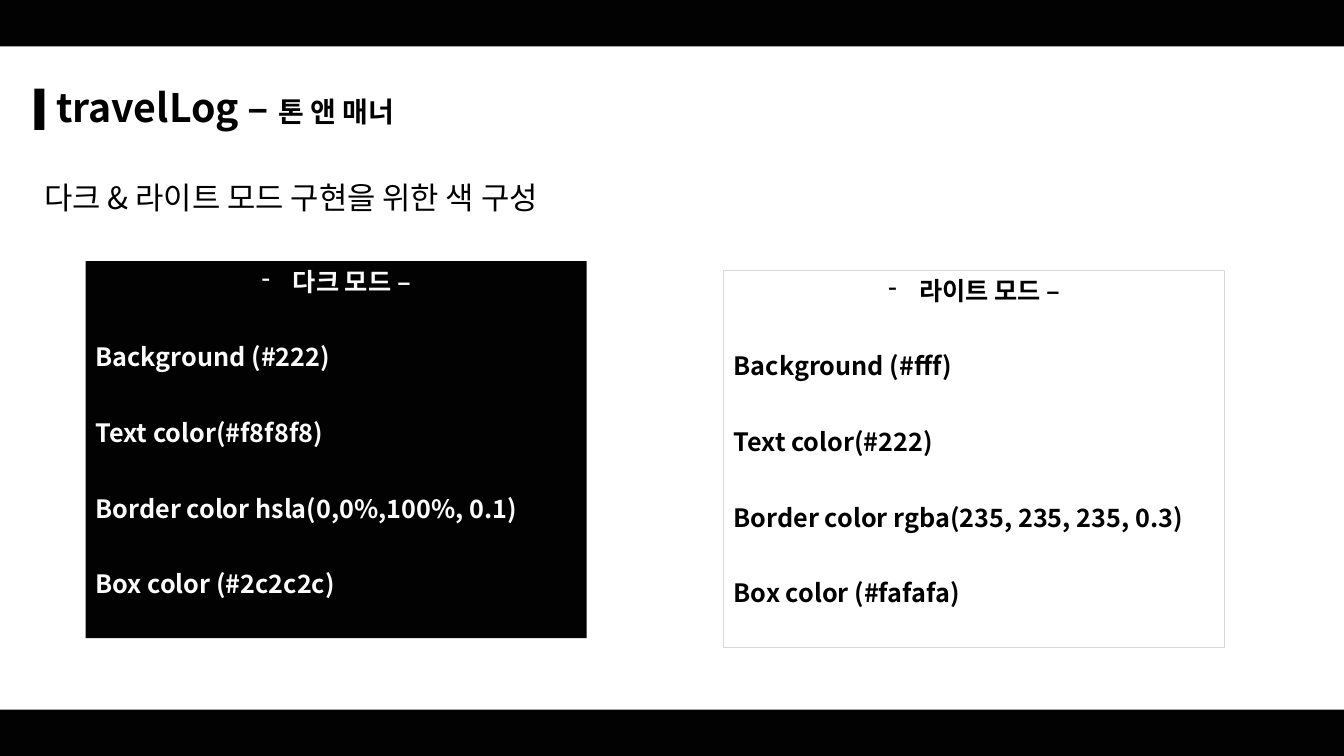
from lxml import etree
from pptx import Presentation
from pptx.dml.color import RGBColor
from pptx.enum import shapes, text
from pptx.oxml import ns
from pptx.util import Inches, Pt

FONT = "Noto Sans CJK KR"
COLORS = {"bar": "020202", "ink": "000000", "light": "FBFBFB", "border": "D7D7D7"}


def add_text(para, words, size=18, color="ink", bold=True, spacing=None, align=text.PP_ALIGN.LEFT):
    para.alignment = align
    if spacing:
        para.line_spacing = spacing
    span = para.add_run()
    span.text = words
    span.font.name = FONT
    span.font.size = Pt(size)
    span.font.bold = bold
    span.font.color.rgb = RGBColor.from_string(COLORS[color])
    east_asian = etree.SubElement(span.font._element, ns.qn("a:ea"))
    east_asian.set("typeface", FONT)


def add_box(left, top, width, height, fill=None, line=None):
    box = page.shapes.add_shape(shapes.MSO_SHAPE.RECTANGLE, Inches(left), Inches(top),
                                Inches(width), Inches(height))
    box.shadow.inherit = False
    if fill:
        box.fill.solid()
        box.fill.fore_color.rgb = RGBColor.from_string(COLORS[fill])
    else:
        box.fill.background()
    if line:
        box.line.color.rgb = RGBColor.from_string(COLORS[line])
        box.line.width = Pt(0.75)
    else:
        box.line.fill.background()
    return box


deck = Presentation()
deck.slide_width = Inches(13.33)
deck.slide_height = Inches(7.5)
page = deck.slides.add_slide(deck.slide_layouts[6])

# Title
title = page.shapes.add_textbox(Inches(0.46), Inches(0.74), Inches(12.41), Inches(0.61)).text_frame
title.word_wrap = True
title.vertical_anchor = text.MSO_ANCHOR.BOTTOM
for words, size in (("travelLog – ", 28), ("톤 앤 매너", 20)):
    add_text(title.paragraphs[0], words, size=size, spacing=0.9)

# Subtitle
subtitle = page.shapes.add_textbox(Inches(0.34), Inches(1.77), Inches(12.65), Inches(0.48)).text_frame
subtitle.word_wrap = True
subtitle.paragraphs[0].space_before = Pt(10)
add_text(subtitle.paragraphs[0], "다크 & 라이트 모드 구현을 위한 색 구성", size=22, bold=False, spacing=0.9)

# Top and bottom bands, title marker
for place in ((0, 0, 13.33, 0.46), (0, 7.04, 13.33, 0.46), (0.34, 0.88, 0.1, 0.41)):
    add_box(*place, fill="bar")

# Colour mode panels
panels = (
    (0.85, 2.59, "bar", None, "light", "다크 모드 –",
     ("Background (#222)", "Text color(#f8f8f8)",
      "Border color hsla(0,0%,100%, 0.1)", "Box color (#2c2c2c)")),
    (7.18, 2.68, None, "border", "ink", "라이트 모드 –",
     ("Background (#fff)", "Text color(#222)",
      "Border color rgba(235, 235, 235, 0.3)", "Box color (#fafafa)")),
)
for left, top, fill, line, color, heading, entries in panels:
    frame = add_box(left, top, 4.97, 3.74, fill, line).text_frame
    frame.word_wrap = True
    frame.vertical_anchor = text.MSO_ANCHOR.TOP

    # Heading with a dash bullet
    para = frame.paragraphs[0]
    add_text(para, heading, color=color, align=text.PP_ALIGN.CENTER)
    props = para._p.get_or_add_pPr()
    props.set("marL", str(Inches(0.31)))
    props.set("indent", str(-Inches(0.31)))
    etree.SubElement(props, ns.qn("a:buFontTx"))
    etree.SubElement(props, ns.qn("a:buChar")).set("char", "-")

    for entry in entries:
        add_text(frame.add_paragraph(), entry, color=color, spacing=2.5)

deck.save("out.pptx")
